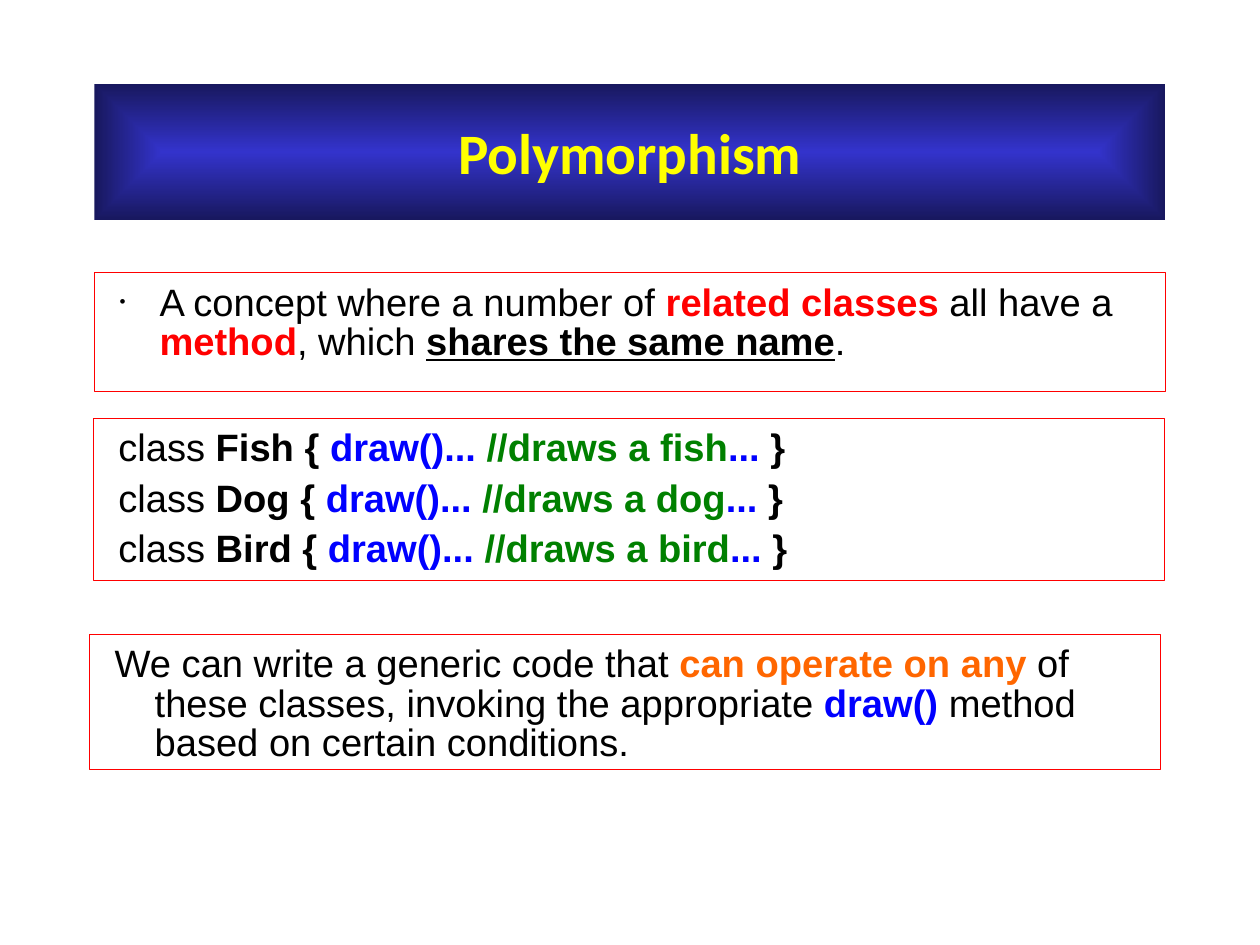
"""Build the slide that explains polymorphism with three drawable classes."""
from dataclasses import dataclass

from lxml import etree
from pptx import Presentation
from pptx.dml.color import RGBColor
from pptx.enum import text
from pptx.oxml import ns
from pptx.util import Pt


@dataclass(frozen=True)
class Theme:
    """Colours, fonts and type sizes of the slide."""
    black: str = "000000"
    red: str = "FF0000"
    blue: str = "0000FF"
    green: str = "008000"
    orange: str = "FF6600"
    yellow: str = "FFFF00"
    banner_inner: str = "3333CC"
    banner_outer: str = "18185E"
    title_font: str = "Calibri"
    body_font: str = "Arial"
    title_size: float = 36
    body_size: float = 24


THEME = Theme()
BOX_WIDTH = 674.6


def rgb(value):
    """Turn a hex string into a colour."""
    return RGBColor.from_string(value)


def sub(parent, tag, **attrs):
    """Append a DrawingML element to its parent."""
    return etree.SubElement(parent, ns.qn(tag), attrs)


def place(sp, left, top, height):
    """Set the position of a full-width shape."""
    sp.left, sp.top, sp.width, sp.height = Pt(left), Pt(top), Pt(BOX_WIDTH), Pt(height)


def add_run(p, words, color, size, font, bold=False, underline=False):
    """Add one formatted run to a paragraph."""
    r = p.add_run()
    r.text = words
    r.font.name, r.font.size = font, Pt(size)
    r.font.bold, r.font.underline = bold, underline
    r.font.color.rgb = rgb(color)


def fill_banner(sp):
    """Fill a shape with a gradient that darkens towards its edges."""
    sp.fill.gradient()
    stops = sp.fill.gradient_stops
    for i, color in enumerate((THEME.banner_inner, THEME.banner_outer)):
        stops[i].color.rgb = rgb(color)
        stops[i].position = i
    grad = sp._element.spPr.find(ns.qn("a:gradFill"))
    grad.remove(grad.find(ns.qn("a:lin")))
    route = sub(grad, "a:path", path="rect")
    sub(route, "a:fillToRect", l="50000", t="50000", r="50000", b="50000")


def write_title(sp, words):
    """Format the title placeholder as a banner."""
    place(sp, 59.5, 52.8, 85.7)
    fill_banner(sp)
    tf = sp.text_frame
    tf.auto_size = text.MSO_AUTO_SIZE.NONE
    tf.vertical_anchor = text.MSO_ANCHOR.MIDDLE
    p = tf.paragraphs[0]
    p.alignment = text.PP_ALIGN.CENTER
    add_run(p, words, THEME.yellow, THEME.title_size, THEME.title_font, bold=True)


def set_bullet(p, bullet):
    """Give a paragraph its hanging indent and bullet."""
    pPr = p._p.get_or_add_pPr()
    pPr.set("marL", str(Pt(33.8)))
    pPr.set("indent", str(-Pt(25.2)))
    if bullet:
        sub(sub(pPr, "a:buClr"), "a:srgbClr", val=THEME.black)
        sub(pPr, "a:buSzPct", val="45000")
        sub(pPr, "a:buFont", typeface=THEME.body_font)
        sub(pPr, "a:buChar", char=bullet)
    else:
        sub(pPr, "a:buNone")


def write_box(sp, left, top, height, lines, bullet=None):
    """Frame a text shape in red and write its paragraphs."""
    place(sp, left, top, height)
    sp.fill.background()
    sp.line.color.rgb = rgb(THEME.red)
    sp.line.width = Pt(0.75)
    tf = sp.text_frame
    tf.word_wrap = True
    tf.auto_size = text.MSO_AUTO_SIZE.NONE
    tf.vertical_anchor = text.MSO_ANCHOR.TOP
    tf.margin_left = tf.margin_right = Pt(7.2)
    tf.margin_top, tf.margin_bottom = Pt(7.6), Pt(3.6)
    for i, runs in enumerate(lines):
        p = tf.add_paragraph() if i else tf.paragraphs[0]
        p.alignment = text.PP_ALIGN.LEFT
        p.line_spacing = 0.86
        p.space_before = Pt(7 if i else 0)
        set_bullet(p, bullet)
        for words, color, *style in runs:
            add_run(p, words, color, THEME.body_size, THEME.body_font, *style)


def class_line(name):
    """Return the runs that declare one drawable class."""
    return [
        ("class ", THEME.black),
        (f"{name} {{ ", THEME.black, True),
        ("draw()... ", THEME.blue, True),
        (f"//draws a {name.lower()}", THEME.green, True),
        ("...", THEME.blue, True),
        (" }", THEME.black, True),
    ]


def main():
    """Create the presentation and save it."""
    prs = Presentation()
    prs.slide_width, prs.slide_height = Pt(793.75), Pt(595.25)
    s = prs.slides.add_slide(prs.slide_layouts[1])

    write_title(s.shapes.title, "Polymorphism")

    concept = [
        ("A concept where a number of ", THEME.black),
        ("related classes ", THEME.red, True),
        ("all have a ", THEME.black),
        ("method", THEME.red, True),
        (", which ", THEME.black),
        ("shares the same name", THEME.black, True, True),
        (".", THEME.black),
    ]
    write_box(s.placeholders[1], 59.5, 171.8, 74.9, [concept], bullet="•")

    classes = [class_line(name) for name in ("Fish", "Dog", "Bird")]
    usage = [
        ("We can write a generic code that ", THEME.black),
        ("can operate on any ", THEME.orange, True),
        ("of these classes, invoking the appropriate ", THEME.black),
        ("draw() ", THEME.blue, True),
        ("method based on certain conditions.", THEME.black),
    ]
    for left, top, height, lines in (
        (58.9, 263.4, 102.2, classes),
        (56.6, 399.5, 85, [usage]),
    ):
        sp = s.shapes.add_textbox(Pt(left), Pt(top), Pt(BOX_WIDTH), Pt(height))
        write_box(sp, left, top, height, lines)

    prs.save("out.pptx")


if __name__ == "__main__":
    main()
